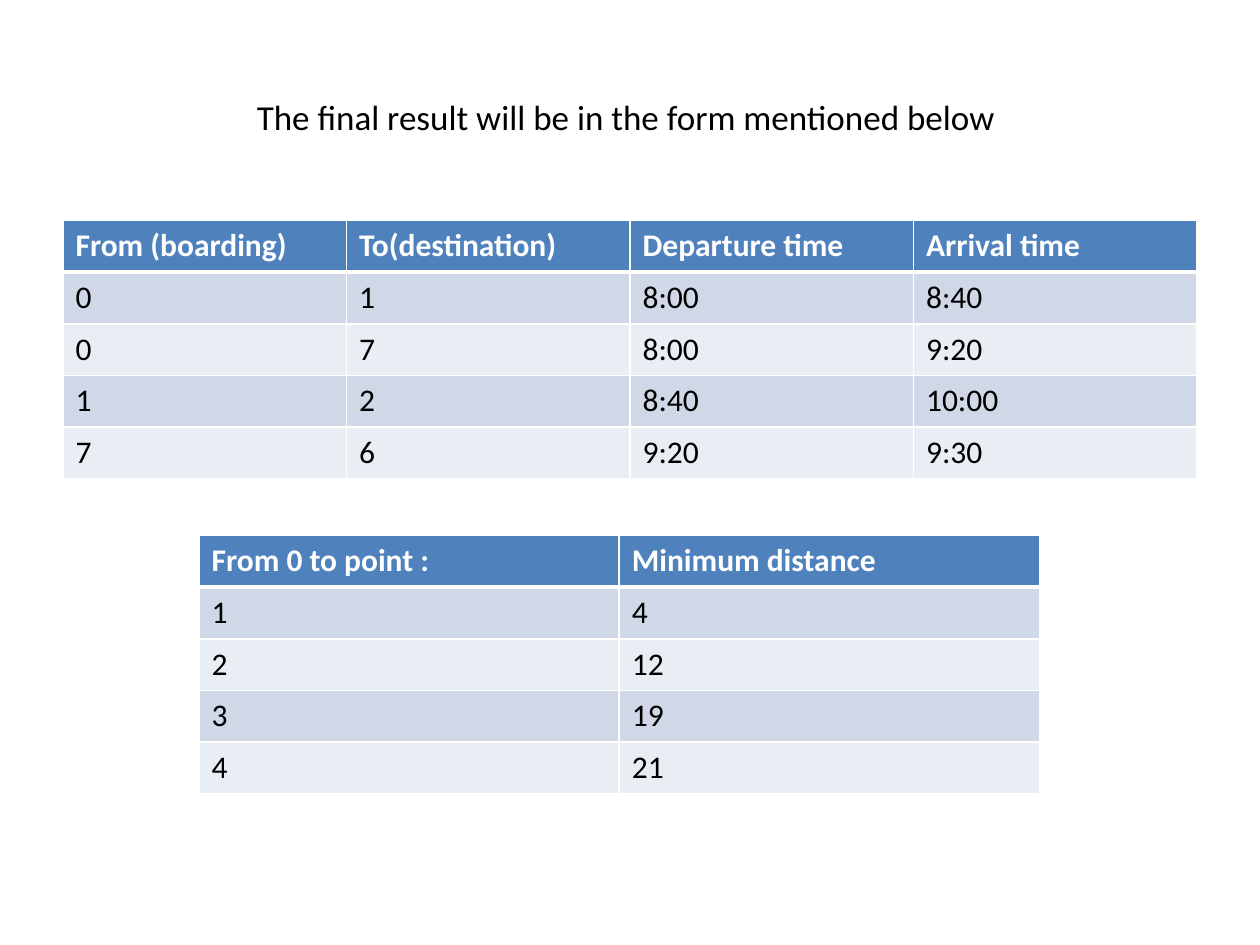
"""Build a slide with a heading, a timetable and a table of shortest distances."""
from lxml import etree
from pptx import Presentation
from pptx.dml.color import RGBColor
from pptx.enum import text
from pptx.oxml import ns
from pptx.util import Inches, Pt

HUES = {"head": "4F81BD", "odd": "D0D8E8", "even": "E9EDF4",
        "white": "FFFFFF", "black": "000000"}


def style(para, size, hue, bold=False):
    font = para.font
    font.name, font.size, font.bold = "Calibri", Pt(size), bold
    font.color.rgb = RGBColor.from_string(HUES[hue])


def edge(cell, side, width):
    props = cell._tc.get_or_add_tcPr()
    line = etree.SubElement(props, ns.qn("a:" + side), w=str(Pt(width)))
    fill = etree.SubElement(line, ns.qn("a:solidFill"))
    etree.SubElement(fill, ns.qn("a:srgbClr"), val=HUES["white"])


deck = Presentation()
deck.slide_width, deck.slide_height = Inches(10), Inches(7.5)
slide = deck.slides.add_slide(deck.slide_layouts[6])

title = slide.shapes.add_textbox(Inches(0.5), Inches(0.3), Inches(9), Inches(1.25))
frame = title.text_frame
frame.word_wrap = True
frame.vertical_anchor = text.MSO_ANCHOR.MIDDLE
para = frame.paragraphs[0]
para.text = "The final result will be in the form mentioned below "
para.alignment = text.PP_ALIGN.CENTER
style(para, 20, "black")

times = [
    ("From (boarding)", "To(destination)", "Departure time", "Arrival time"),
    ("0", "1", "8:00", "8:40"),
    ("0", "7", "8:00", "9:20"),
    ("1", "2", "8:40", "10:00"),
    ("7", "6", "9:20", "9:30"),
]
paths = [
    ("From 0 to point :", "Minimum distance"),
    ("1", "4"),
    ("2", "12"),
    ("3", "19"),
    ("4", "21"),
]

for rows, left, top, width in ((times, 0.5, 1.75, 9), (paths, 1.58, 4.25, 6.67)):
    high = Inches(0.41)
    grid = slide.shapes.add_table(len(rows), len(rows[0]), Inches(left), Inches(top),
                                  Inches(width), high * len(rows)).table
    for r, row in enumerate(rows):
        grid.rows[r].height = high
        head = r == 0
        band = "head" if head else "odd" if r % 2 else "even"
        for c, word in enumerate(row):
            cell = grid.cell(r, c)
            cell.text = word
            style(cell.text_frame.paragraphs[0], 18, "white" if head else "black", head)
            for side in ("lnL", "lnR", "lnT", "lnB"):
                thick = (head and side == "lnB") or (r == 1 and side == "lnT")
                edge(cell, side, 3 if thick else 1)
            cell.fill.solid()
            cell.fill.fore_color.rgb = RGBColor.from_string(HUES[band])

deck.save("out.pptx")
